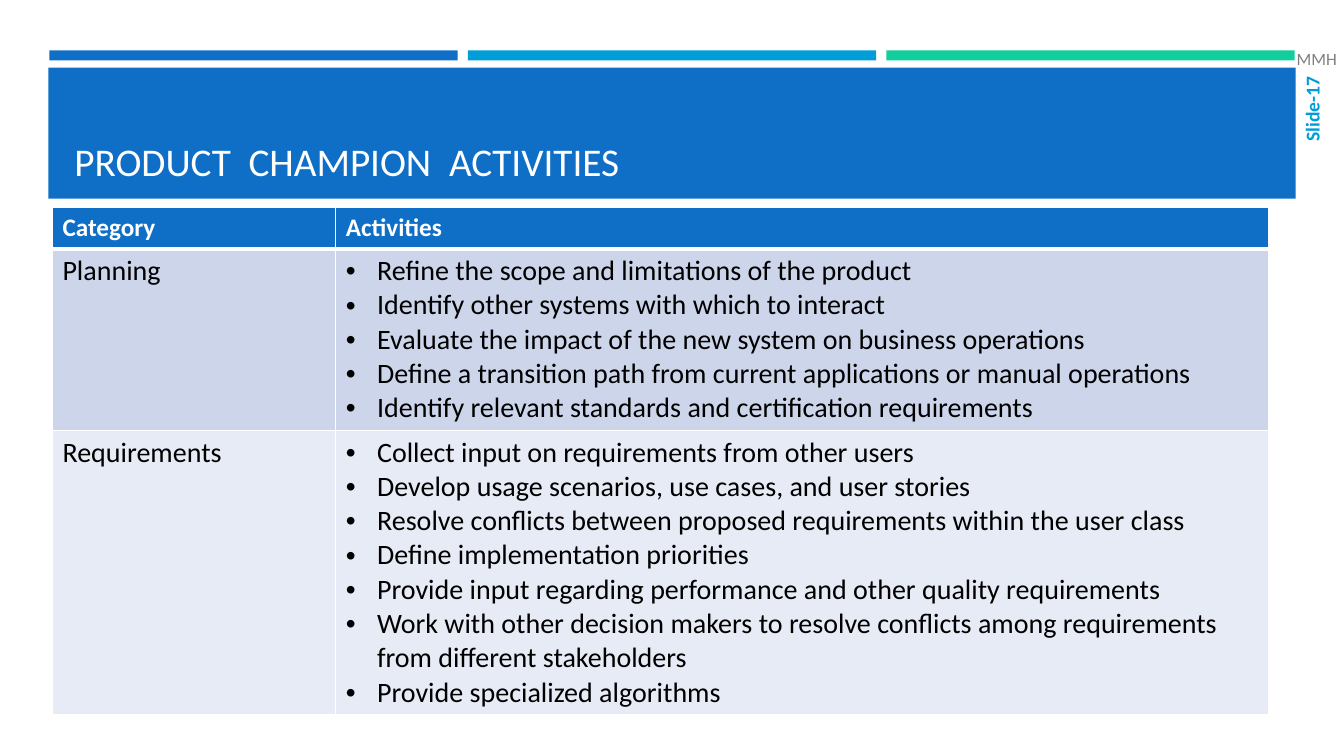
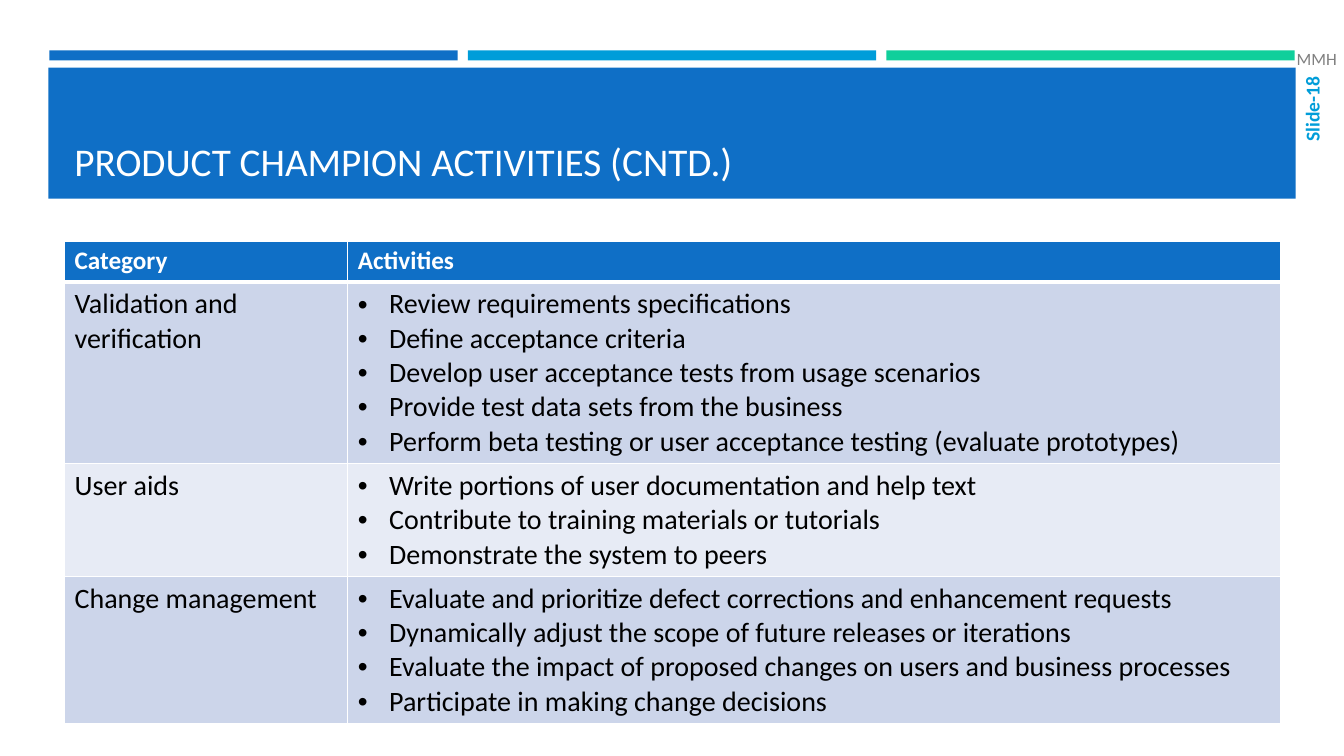
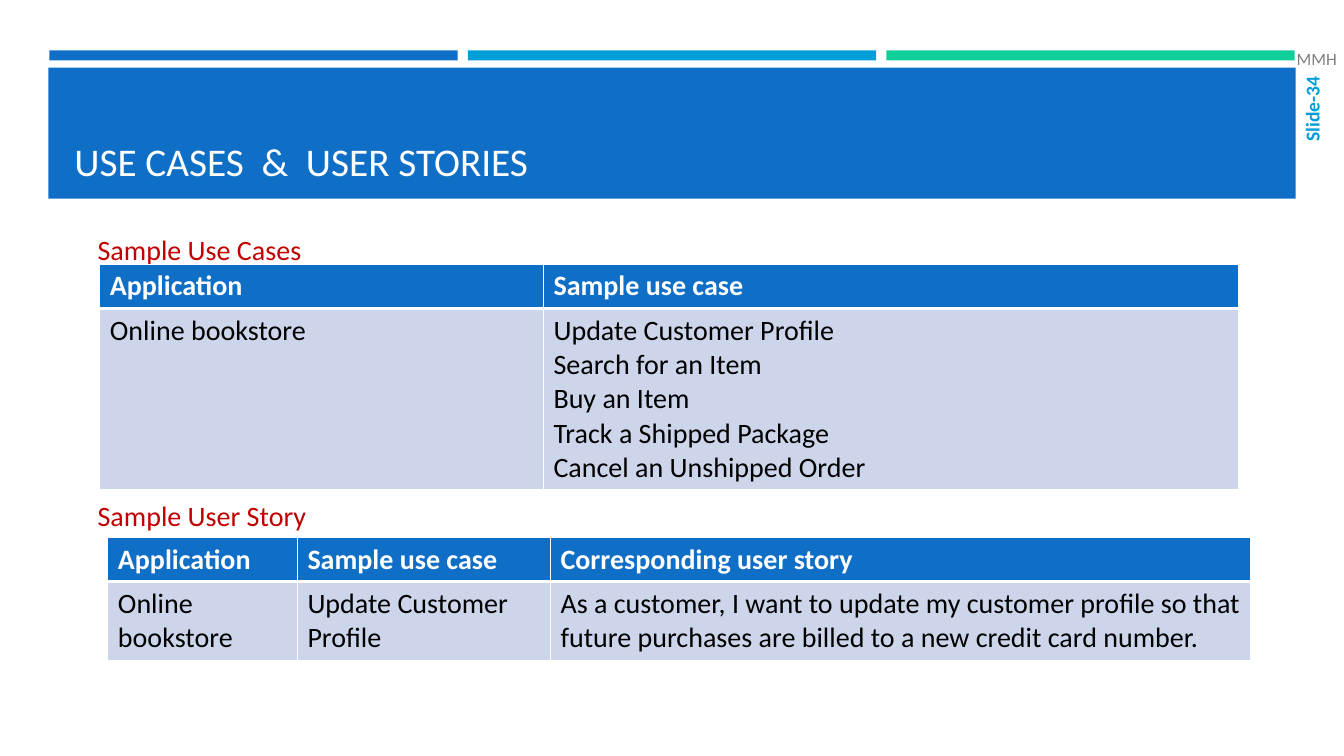
from lxml import etree
from pptx import Presentation
from pptx.dml.color import RGBColor
from pptx.enum.shapes import MSO_SHAPE
from pptx.enum.text import MSO_ANCHOR, PP_ALIGN
from pptx.oxml.ns import qn
from pptx.util import Inches, Pt

RECT = MSO_SHAPE.RECTANGLE
MIDDLE = MSO_ANCHOR.MIDDLE
BOTTOM = MSO_ANCHOR.BOTTOM
LEFT = PP_ALIGN.LEFT
RIGHT = PP_ALIGN.RIGHT

BLUE = RGBColor(0x0F, 0x6F, 0xC6)
CYAN = RGBColor(0x00, 0x9D, 0xD9)
GREEN = RGBColor(0x10, 0xCF, 0x9B)
WHITE = RGBColor(0xFF, 0xFF, 0xFF)
BLACK = RGBColor(0x00, 0x00, 0x00)
GRAY = RGBColor(0x80, 0x80, 0x80)
RED = RGBColor(0xC0, 0x00, 0x00)
BANDS = (RGBColor(0xCC, 0xD5, 0xEA), RGBColor(0xE7, 0xEB, 0xF5))

FONT = "Calibri"
LINE = 0.34
PAD = 0.1


class Deck:
    def __init__(self):
        self.prs = Presentation()
        self.prs.slide_width = Inches(13.33)
        self.prs.slide_height = Inches(7.5)
        self.slide = None

    def page(self, title, number):
        self.slide = self.prs.slides.add_slide(self.prs.slide_layouts[6])
        for i, color in enumerate((BLUE, CYAN, GREEN)):
            self.rect(0.49 + i * 4.15, 0.5, 4.05, 0.1, color)
        self.rect(0.48, 0.67, 12.37, 1.3, BLUE)
        self.text(0.64, 0.77, 12.06, 1.11, title, 28, WHITE, anchor=BOTTOM)
        tag = self.text(12.87, 0.66, 0.28, 0.98, f"Slide-{number}", 14, CYAN,
                        bold=True, align=RIGHT)
        tag._txBody.bodyPr.set("vert", "vert270")
        mark = self.text(12.86, 0.43, 0.45, 0.3, "MMH", 12.3, GRAY)
        mark.margin_left = mark.margin_right = 0
        mark.word_wrap = False

    def rect(self, x, y, w, h, color):
        shape = self.slide.shapes.add_shape(
            RECT, Inches(x), Inches(y), Inches(w), Inches(h))
        shape.shadow.inherit = False
        shape.fill.solid()
        shape.fill.fore_color.rgb = color
        shape.line.fill.background()

    def style(self, para, size, color, bold=False):
        font = para.font
        font.name = FONT
        font.size = Pt(size)
        font.bold = bold
        font.color.rgb = color

    def text(self, x, y, w, h, words, size, color, bold=False,
             align=LEFT, anchor=MIDDLE):
        box = self.slide.shapes.add_textbox(
            Inches(x), Inches(y), Inches(w), Inches(h))
        frame = box.text_frame
        frame.word_wrap = True
        frame.vertical_anchor = anchor
        para = frame.paragraphs[0]
        para.text = words
        para.alignment = align
        self.style(para, size, color, bold)
        return frame

    def bullet(self, para):
        props = para._p.get_or_add_pPr()
        props.set("marL", str(Inches(0.31)))
        props.set("indent", str(-Inches(0.31)))
        etree.SubElement(props, qn("a:buFont")).set("typeface", "Arial")
        etree.SubElement(props, qn("a:buChar")).set("char", "•")

    def border(self, cell, edges):
        props = cell._tc.get_or_add_tcPr()
        for side, width in edges.items():
            line = etree.SubElement(props, qn(f"a:ln{side}"))
            line.set("w", str(Pt(width)))
            fill = etree.SubElement(line, qn("a:solidFill"))
            etree.SubElement(fill, qn("a:srgbClr")).set("val", str(WHITE))

    def cell(self, cell, words, row, size, dots):
        head = row == 0
        self.border(cell, {"L": 1, "R": 1, "T": 3 if row == 1 else 1,
                           "B": 3 if head else 1})
        cell.fill.solid()
        cell.fill.fore_color.rgb = BLUE if head else BANDS[(row - 1) % 2]
        cell.text = words
        for para in cell.text_frame.paragraphs:
            if dots:
                self.bullet(para)
            self.style(para, size, WHITE if head else BLACK, head)

    def table(self, x, y, widths, lines, rows, head=20, dots=False):
        highs = [0.41 if head < 20 else LINE + PAD]
        highs += [n * LINE + PAD for n in lines]
        grid = self.slide.shapes.add_table(
            len(rows), len(widths), Inches(x), Inches(y),
            Inches(sum(widths)), Inches(sum(highs))).table
        grid.horz_banding = False
        for col, width in zip(grid.columns, widths):
            col.width = Inches(width)
        for r, (high, row) in enumerate(zip(highs, rows)):
            grid.rows[r].height = Inches(high)
            for c, words in enumerate(row):
                self.cell(grid.cell(r, c), words, r, 20 if r else head,
                          dots and r > 0 and c > 0)

    def duties(self, x, y, lines, rows):
        self.table(x, y, (2.81, 9.25), lines,
                   [("Category", "Activities")] + rows, head=18, dots=True)

    def label(self, y, words):
        self.text(0.87, y, 6, 0.44, words, 20, RED)


def main():
    deck = Deck()

    deck.page("PRODUCT  CHAMPION  ACTIVITIES", 17)
    deck.duties(0.52, 2.06, (5, 8), [
        ("Planning", "\n".join((
            "Refine the scope and limitations of the product",
            "Identify other systems with which to interact",
            "Evaluate the impact of the new system on business operations",
            "Define a transition path from current applications or manual operations",
            "Identify relevant standards and certification requirements"))),
        ("Requirements", "\n".join((
            "Collect input on requirements from other users",
            "Develop usage scenarios, use cases, and user stories",
            "Resolve conflicts between proposed requirements within the user class",
            "Define implementation priorities",
            "Provide input regarding performance and other quality requirements",
            "Work with other decision makers to resolve conflicts among "
            "requirements from different stakeholders",
            "Provide specialized algorithms"))),
    ])

    deck.page("PRODUCT CHAMPION ACTIVITIES (CNTD.)", 18)
    deck.duties(0.64, 2.39, (5, 3, 4), [
        ("Validation and verification", "\n".join((
            "Review requirements specifications",
            "Define acceptance criteria",
            "Develop user acceptance tests from usage scenarios",
            "Provide test data sets from the business",
            "Perform beta testing or user acceptance testing (evaluate prototypes)"))),
        ("User aids", "\n".join((
            "Write portions of user documentation and help text",
            "Contribute to training materials or tutorials",
            "Demonstrate the system to peers"))),
        ("Change management", "\n".join((
            "Evaluate and prioritize defect corrections and enhancement requests",
            "Dynamically adjust the scope of future releases or iterations",
            "Evaluate the impact of proposed changes on users and business processes",
            "Participate in making change decisions"))),
    ])

    deck.page("USE CASES  &  USER STORIES", 34)
    deck.label(2.25, "Sample Use Cases")
    deck.table(0.99, 2.62, (4.4, 6.89), (5,), [
        ("Application", "Sample use case"),
        ("Online bookstore", "\n".join((
            "Update Customer Profile",
            "Search for an Item",
            "Buy an Item",
            "Track a Shipped Package",
            "Cancel an Unshipped Order"))),
    ])
    deck.label(4.89, "Sample User Story")
    deck.table(1.07, 5.33, (1.88, 2.51, 6.94), (2,), [
        ("Application", "Sample use case", "Corresponding user story"),
        ("Online bookstore", "Update Customer Profile",
         "As a customer, I want to update my customer profile so that "
         "future purchases are billed to a new credit card number."),
    ])

    deck.prs.save("out.pptx")


if __name__ == "__main__":
    main()
